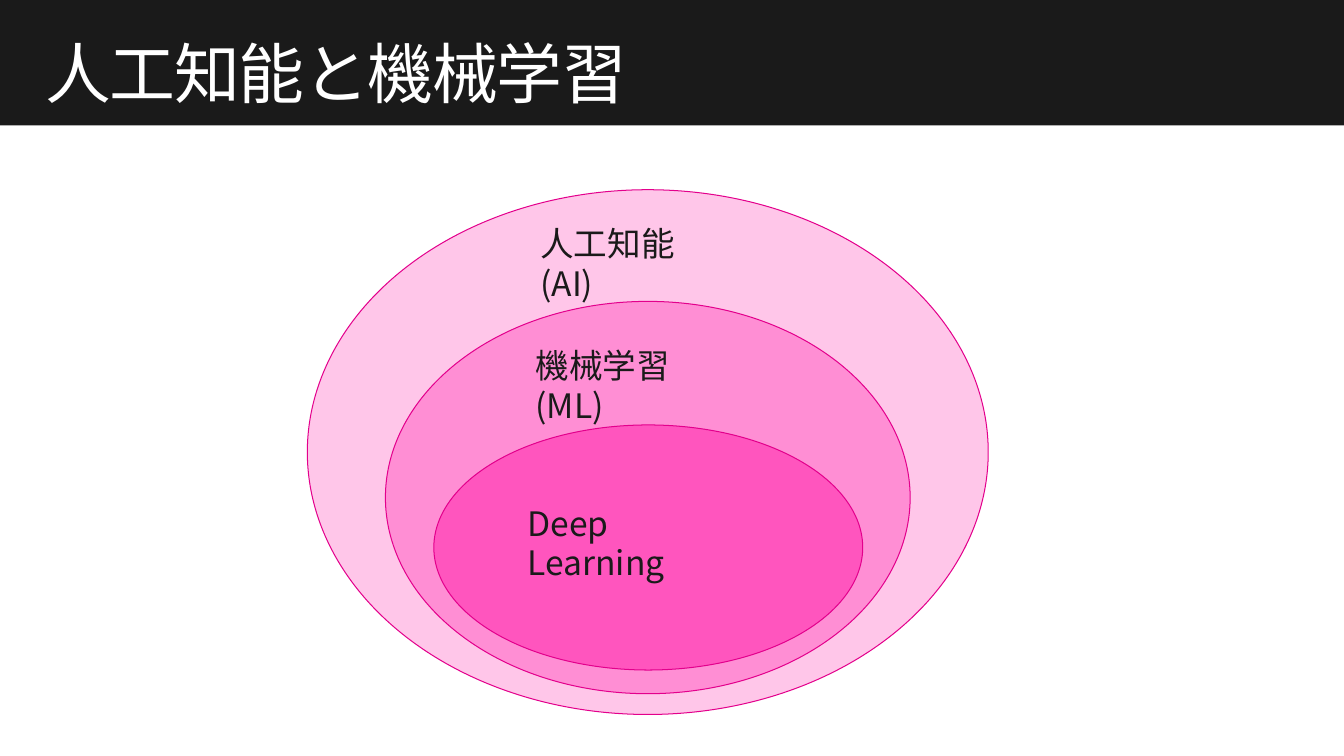
"""Build the slide that nests deep learning inside machine learning inside AI."""
from dataclasses import dataclass

import pptx
import pptx.dml.color
import pptx.enum.shapes
import pptx.enum.text
import pptx.oxml
import pptx.oxml.ns
import pptx.shapes.autoshape
import pptx.slide
import pptx.text.text
import pptx.util

PX = 9144
COLORS = {
    "ink": "1A1A1A",
    "paper": "FFFFFF",
    "outline": "E3008C",
    "ai": "FFC6E9",
    "ml": "FF8ED4",
    "deep": "FF55BE",
}
Box = tuple[int, int, int, int]


@dataclass(frozen=True)
class Field:
    name: str
    fill: str
    ellipse: Box
    label: Box


FIELDS = [
    Field("人工知能 (AI)", "ai", (311, 192, 689, 531), (537, 221, 223, 52)),
    Field("機械学習 (ML)", "ml", (390, 305, 531, 397), (532, 345, 239, 52)),
    Field("Deep Learning", "deep", (439, 430, 434, 248), (524, 504, 245, 52)),
]


def emu(box: Box) -> list[pptx.util.Emu]:
    return [pptx.util.Emu(length * PX) for length in box]


def rgb(color: str) -> pptx.dml.color.RGBColor:
    return pptx.dml.color.RGBColor.from_string(COLORS[color])


def write(frame: pptx.text.text.TextFrame, text: str, *, font: str, size: float,
          color: str, margins: Box, leading: float | pptx.util.Pt,
          tracking: int = 0) -> None:
    frame.word_wrap = True
    frame.auto_size = pptx.enum.text.MSO_AUTO_SIZE.NONE
    frame.vertical_anchor = pptx.enum.text.MSO_ANCHOR.TOP
    (frame.margin_left, frame.margin_top,
     frame.margin_right, frame.margin_bottom) = emu(margins)
    line = frame.paragraphs[0]
    line.alignment = pptx.enum.text.PP_ALIGN.LEFT
    line.line_spacing = leading
    run = line.add_run()
    run.text = text
    run.font.size = pptx.util.Pt(size)
    run.font.color.rgb = rgb(color)
    run.font.name = font
    properties = run._r.get_or_add_rPr()
    east_asian = pptx.oxml.parse_xml(
        f'<a:ea {pptx.oxml.ns.nsdecls("a")} typeface="{font}"/>')
    properties.find(pptx.oxml.ns.qn("a:latin")).addnext(east_asian)
    if tracking:
        properties.set("spc", str(tracking))


def draw(slide: pptx.slide.Slide, kind: pptx.enum.shapes.MSO_SHAPE, box: Box,
         fill: str, outline: str | None = None) -> pptx.shapes.autoshape.Shape:
    shape = slide.shapes.add_shape(kind, *emu(box))
    shape.shadow.inherit = False
    shape.fill.solid()
    shape.fill.fore_color.rgb = rgb(fill)
    if outline:
        shape.line.color.rgb = rgb(outline)
        shape.line.width = pptx.util.Pt(0.75)
    else:
        shape.line.fill.background()
    return shape


def draw_heading(slide: pptx.slide.Slide) -> None:
    heading = slide.shapes.title
    heading.left, heading.top, heading.width, heading.height = emu((30, 32, 1300, 100))
    write(heading.text_frame, "人工知能と機械学習", font="Cabin", size=48,
          color="paper", margins=(16, 10, 16, 10), leading=0.9, tracking=-100)
    band = draw(slide, pptx.enum.shapes.MSO_SHAPE.RECTANGLE, (0, 0, 1360, 127), "ink")
    heading._element.addprevious(band._element)


def draw_ellipse(slide: pptx.slide.Slide, field: Field) -> None:
    draw(slide, pptx.enum.shapes.MSO_SHAPE.OVAL, field.ellipse, field.fill, "outline")


def draw_label(slide: pptx.slide.Slide, field: Field) -> None:
    label = slide.shapes.add_textbox(*emu(field.label))
    write(label.text_frame, field.name, font="Noto Sans CJK JP", size=24.5,
          color="ink", margins=(10, 5, 60, 5), leading=pptx.util.Pt(29))


def main() -> None:
    deck = pptx.Presentation()
    deck.slide_width, deck.slide_height = 1360 * PX, 765 * PX
    slide = deck.slides.add_slide(deck.slide_layouts[5])
    draw_heading(slide)
    for field in FIELDS:
        draw_ellipse(slide, field)
    for field in FIELDS:
        draw_label(slide, field)
    deck.save("out.pptx")


if __name__ == "__main__":
    main()
